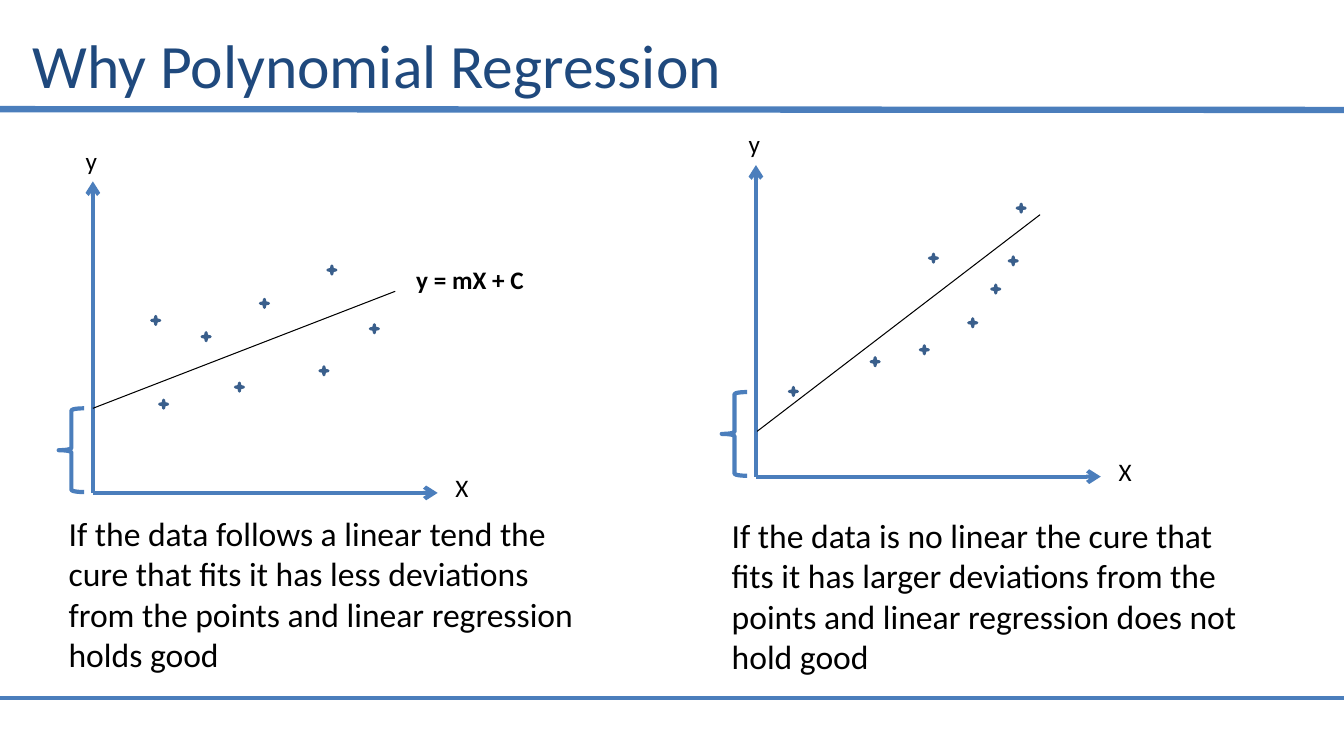
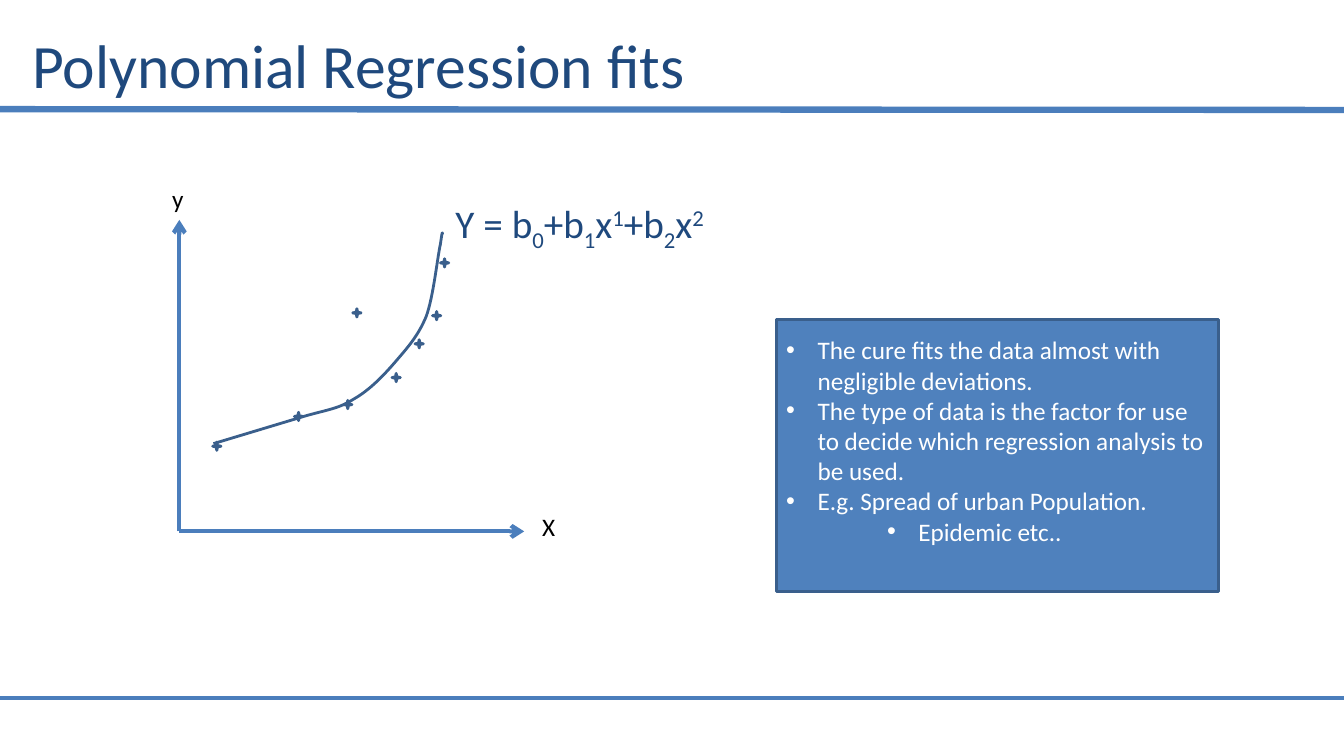
from lxml.etree import SubElement
from pptx import Presentation
from pptx.dml.color import RGBColor
from pptx.enum.shapes import MSO_CONNECTOR, MSO_SHAPE
from pptx.enum.text import MSO_ANCHOR, MSO_AUTO_SIZE, PP_ALIGN
from pptx.oxml.ns import qn
from pptx.util import Cm, Pt

FONT = "Calibri"
NAVY = "1F497D"
BLUE = "4F81BD"
RULE_BLUE = "4B7EBC"
EDGE_BLUE = "3A5F8C"
BLACK = "000000"
WHITE = "FFFFFF"
color = RGBColor.from_string


def add_line(page, start, end, line_color, width, arrow=False):
    line = page.shapes.add_connector(
        MSO_CONNECTOR.STRAIGHT, *[Cm(value) for value in (*start, *end)])
    line.line.color.rgb = color(line_color)
    line.line.width = Pt(width)
    if arrow:
        SubElement(line.element.spPr.find(qn("a:ln")), qn("a:tailEnd"), type="arrow")
    SubElement(line.element.spPr, qn("a:effectLst"))
    return line


def add_text(page, left, top, width, height, spans, size, text_color=BLACK, bold=False):
    box = page.shapes.add_textbox(Cm(left), Cm(top), Cm(width), Cm(height))
    box.text_frame.word_wrap = True
    para = box.text_frame.paragraphs[0]
    for text in spans:
        span = para.add_run()
        span.text = text
        span.font.name = FONT
        span.font.size = Pt(size)
        span.font.bold = bold
        span.font.color.rgb = color(text_color)
    return box


deck = Presentation()
deck.slide_width, deck.slide_height = Cm(33.87), Cm(19.05)

# Master: title place
master = deck.slide_master
title = master.placeholders[0]
title.left, title.top, title.width, title.height = Cm(0.56), Cm(0.43), Cm(27.66), Cm(2.34)

# Pages with their titles
why_page = deck.slides.add_slide(deck.slide_layouts.get_by_name("Title Only"))
fit_page = deck.slides.add_slide(deck.slide_layouts.get_by_name("Title and Content"))
for page, heading in [(why_page, "Why Polynomial Regression"),
                      (fit_page, "Polynomial Regression fits")]:
    frame = page.shapes.title.text_frame
    frame.text = heading
    frame.auto_size = MSO_AUTO_SIZE.NONE
    frame.vertical_anchor = MSO_ANCHOR.MIDDLE
    para = frame.paragraphs[0]
    para.alignment = PP_ALIGN.LEFT
    para.font.name = FONT
    para.font.size = Pt(44)
    para.font.color.rgb = color(NAVY)

# Master: rules under the title and above the footer, drawn once and moved there
for number, (left_y, right_y, width) in enumerate([(2.75, 2.77, 4.5), (17.58, 17.58, 3)]):
    rule = add_line(why_page, (0, left_y), (33.87, right_y), RULE_BLUE, width)
    rule.element.xpath(".//p:cNvPr")[0].set("id", str(20 + number))
    master.shapes.element.append(rule.element)

# Plots: points are (right, up) from the origin of the axes
linear_points = [(1.48, 4.45), (1.68, 2.34), (2.75, 4.04), (4.22, 4.88),
                 (3.59, 2.77), (5.92, 5.72), (5.72, 3.18), (6.99, 4.24)]
curved_points = [(2.9, 3), (0.84, 2.25), (5.36, 3.98), (4.37, 5.61),
                 (4.14, 3.3), (6.38, 5.54), (5.94, 4.83), (6.58, 6.87)]
linear_origin, curved_origin, fit_origin = (2.34, 12.42), (19.05, 12.01), (4.52, 13.39)
STAR = 0.21

for page, (x, y), points in [(why_page, linear_origin, linear_points),
                             (why_page, curved_origin, curved_points),
                             (fit_page, fit_origin, curved_points)]:
    add_line(page, (x, y), (x, y - 7.85), RULE_BLUE, 3, arrow=True)
    add_line(page, (x, y), (x + 8.69, y), RULE_BLUE, 3, arrow=True)
    add_text(page, x - 0.43, y - 8.89, 0.64, 1.02, ["y"], 18)
    add_text(page, x + 8.89, y - 0.64, 0.64, 1.02, ["X"], 18)
    for right, up in points:
        star = page.shapes.add_shape(
            MSO_SHAPE.STAR_4_POINT, Cm(x + right), Cm(y - up), Cm(STAR), Cm(STAR))
        star.shadow.inherit = False
        star.fill.solid()
        star.fill.fore_color.rgb = color(BLUE)
        star.line.color.rgb = color(EDGE_BLUE)
        star.line.width = Pt(2)

# First page: straight fit, intercept brace and caption of each plot
for (x, y), (start_x, start_up), (end_x, end_up), caption_top, caption in [
    (linear_origin, (0, 2.13), (7.62, 5.08), 12.8,
     "If the data follows a linear tend the cure that fits it has less deviations "
     "from the points and linear regression holds good"),
    (curved_origin, (0.03, 1.14), (7.16, 6.6), 12.85,
     "If the data is no linear the cure that fits it has larger deviations "
     "from the points and linear regression does not hold good"),
]:
    add_line(why_page, (x + start_x, y - start_up), (x + end_x, y - end_up), BLACK, 0.75)
    brace = why_page.shapes.add_shape(
        MSO_SHAPE.LEFT_BRACE, Cm(x - 0.86), Cm(y - 2.13), Cm(0.64), Cm(2.11))
    brace.shadow.inherit = False
    brace.fill.background()
    brace.line.color.rgb = color(RULE_BLUE)
    brace.line.width = Pt(3)
    add_text(why_page, x - 0.86, caption_top, 13.31, 4.37, [caption], 24)

add_text(why_page, 10.24, 6.53, 3.5, 1.02, ["y = mX + C"], 18, bold=True)

# Second page: fitted curve, one straight piece followed by Bézier pieces
curve_points = [
    (0.86, 2.21), (3.05, 2.87),
    (3.63, 3.05), (3.99, 3.07), (4.39, 3.33),
    (4.8, 3.56), (5.16, 3.94), (5.46, 4.29),
    (5.77, 4.65), (6.02, 4.93), (6.22, 5.41),
    (6.4, 5.89), (6.5, 6.88), (6.58, 7.24),
    (6.63, 7.59), (6.63, 7.54), (6.63, 7.49),
]
x, y = fit_origin
start, *others = [(Cm(x + right), Cm(y - up)) for right, up in curve_points]
builder = fit_page.shapes.build_freeform(*start)
builder.add_line_segments(others, close=False)
curve = builder.convert_to_shape()
curve.shadow.inherit = False
curve.fill.background()
curve.line.color.rgb = color(EDGE_BLUE)
curve.line.width = Pt(2)
outline = curve.element.xpath(".//a:path")[0]
segments = outline.findall(qn("a:lnTo"))[1:]
for first in range(0, len(segments), 3):
    bezier = SubElement(outline, qn("a:cubicBezTo"))
    for segment in segments[first:first + 3]:
        bezier.append(segment[0])
        outline.remove(segment)

# Second page: equation with subscripts and superscripts
equation = [("Y = b", 0), ("0", -25), ("+b", 0), ("1", -25), ("x", 0),
            ("1", 30), ("+b", 0), ("2", -25), ("x", 0), ("2", 30)]
box = add_text(fit_page, 11.23, 4.9, 7.09, 1.45, [text for text, _ in equation], 28, NAVY)
for properties, (_, baseline) in zip(box.element.xpath(".//a:rPr"), equation):
    properties.set("baseline", str(baseline * 1000))

# Second page: list of conclusions
body = fit_page.placeholders[1]
body.left, body.top, body.width, body.height = Cm(19.56), Cm(8.05), Cm(11.15), Cm(6.86)
body.fill.solid()
body.fill.fore_color.rgb = color(BLUE)
body.line.color.rgb = color(EDGE_BLUE)
body.line.width = Pt(2)
frame = body.text_frame
frame.text = "\n".join([
    "The cure fits the data almost with negligible deviations.",
    "The type of data is the factor for use to decide which regression analysis to be used.",
    "E.g. Spread of urban Population.",
    "Epidemic etc..",
])
frame.auto_size = MSO_AUTO_SIZE.NONE
frame.vertical_anchor = MSO_ANCHOR.MIDDLE
frame.margin_bottom = Cm(0.89)
frame.paragraphs[-1].level = 2
for para in frame.paragraphs:
    para.alignment = PP_ALIGN.LEFT
    para.space_before = Pt(0)
    for span in para.runs:
        span.font.name = FONT
        span.font.size = Pt(18)
        span.font.color.rgb = color(WHITE)
for properties, margin in zip(body.element.xpath(".//a:pPr"), [0.79, 0.79, 0.79, 3.33]):
    properties.set("marL", str(Cm(margin)))
    properties.set("indent", str(Cm(-0.79)))

deck.save("out.pptx")
